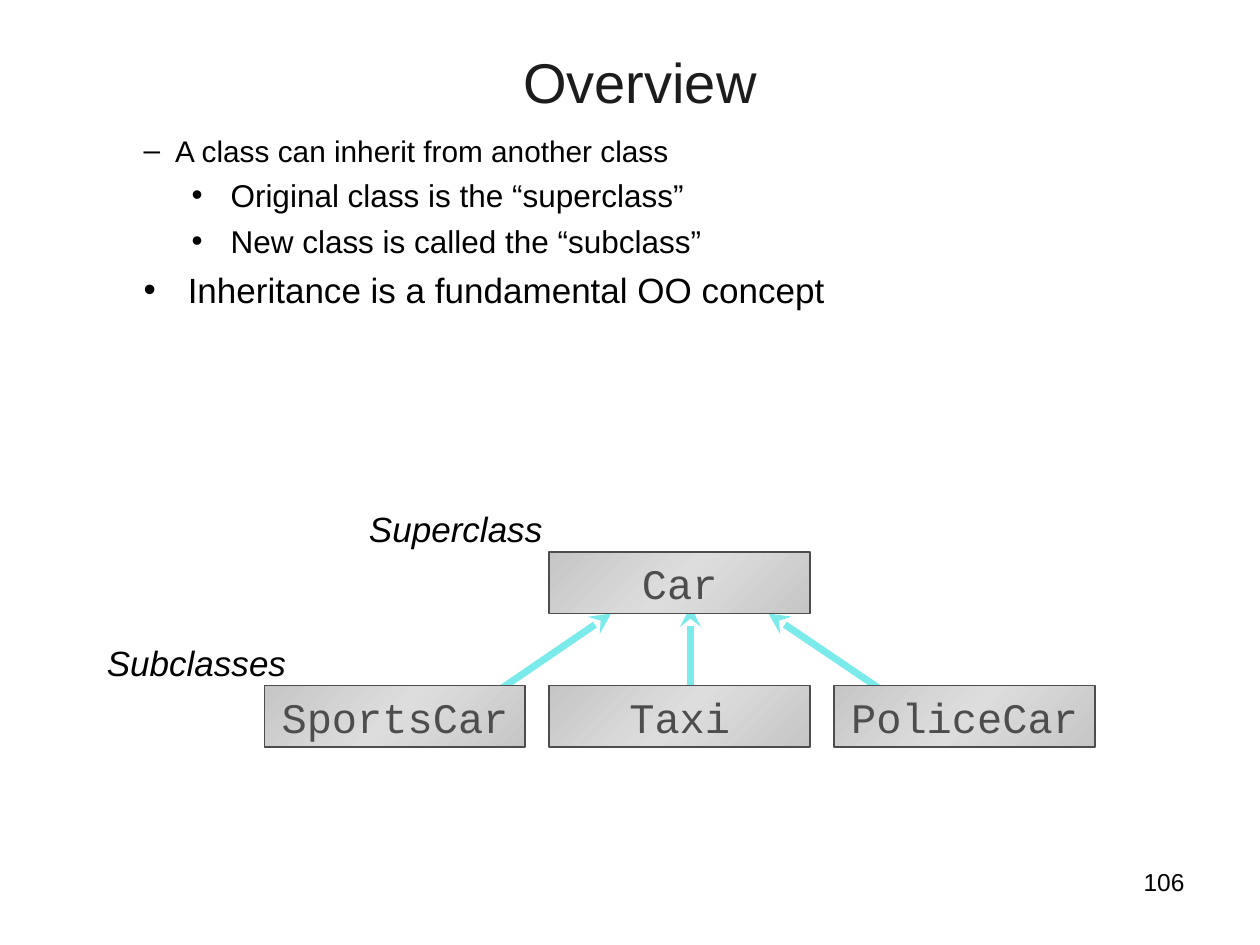
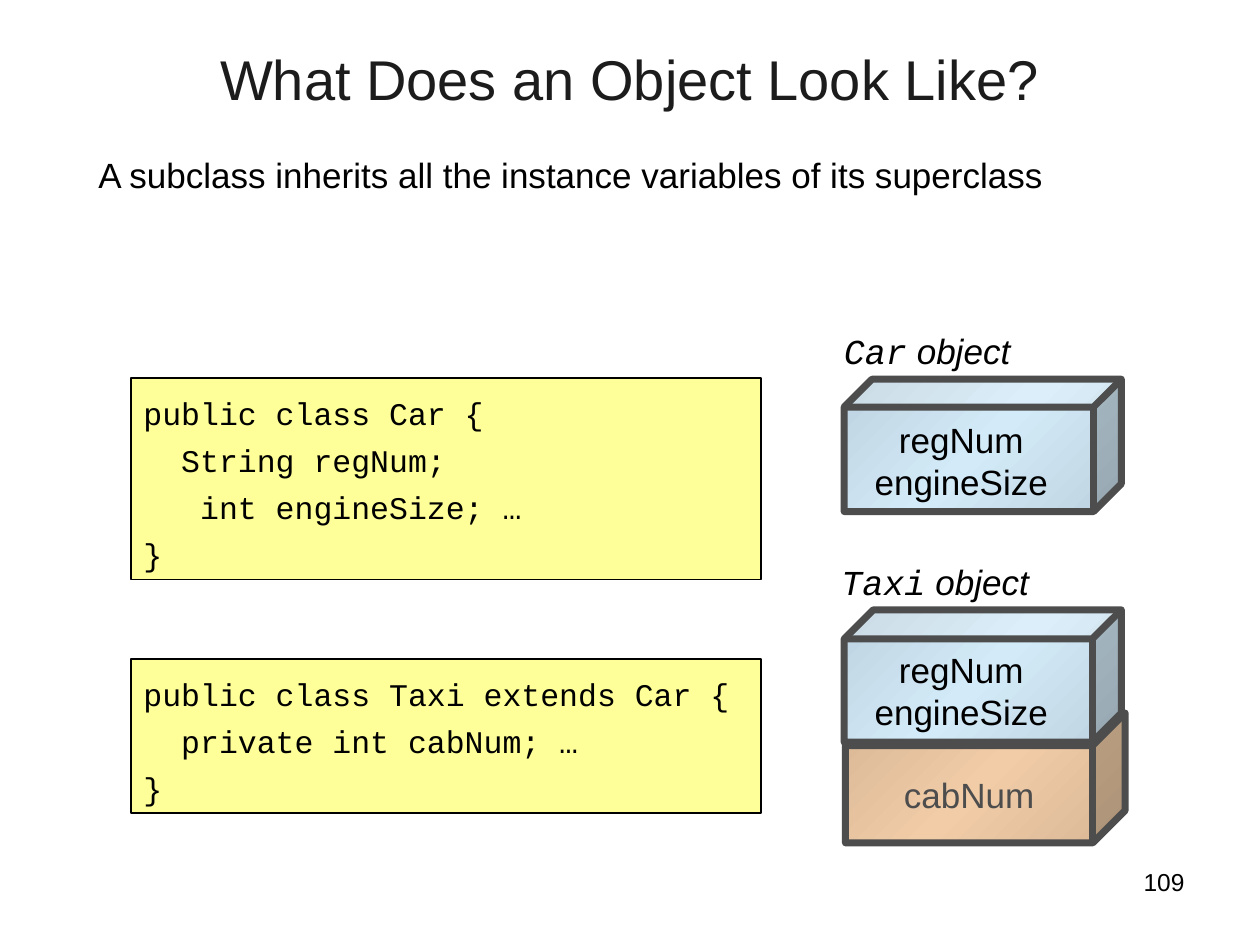
from dataclasses import dataclass

from lxml import etree
from pptx import Presentation
from pptx import util as u
from pptx.dml.color import RGBColor
from pptx.enum import shapes, text
from pptx.oxml import ns


@dataclass(frozen=True)
class Theme:
    sans: str = "Arial"
    mono: str = "Courier New"
    black: str = "000000"
    title: str = "1C1C1C"
    edge: str = "4D4D4D"
    arrow: str = "7BEAEA"
    code: str = "FFFF99"
    gray: tuple = ("C6C6C6", "DDDDDD", "C6C6C6")
    blue: tuple = ("BDD2DF", "D3EAF8", "BDD2DF")
    tan: tuple = ("D8B796", "F1CCA7", "D8B796")
    head: int = 32
    large: int = 24
    main: int = 20
    small: int = 18
    sub: int = 17
    foot: int = 14


T = Theme()
LEFT, MID, RIGHT = text.PP_ALIGN.LEFT, text.PP_ALIGN.CENTER, text.PP_ALIGN.RIGHT


def rgb(value):
    return RGBColor.from_string(value)


def place(shape, at):
    shape.left, shape.top, shape.width, shape.height = map(u.Inches, at)


def add_run(para, words, size, face=T.sans, color=T.black, slant=None):
    run = para.add_run()
    run.text = words
    font = run.font
    font.name, font.size, font.italic = face, u.Pt(size), slant
    font.color.rgb = rgb(color)


def set_frame(shape, anchor=text.MSO_ANCHOR.TOP, wrap=True):
    frame = shape.text_frame
    frame.auto_size = text.MSO_AUTO_SIZE.NONE
    frame.word_wrap = wrap
    frame.vertical_anchor = anchor
    return frame


def add_lines(frame, lines, size, face=T.sans, color=T.black, align=LEFT, space=None):
    for i, line in enumerate(lines):
        para = frame.add_paragraph() if i else frame.paragraphs[0]
        para.alignment, para.line_spacing = align, space
        add_run(para, line, size, face, color)


def add_text(slide, at, lines, size, align=LEFT):
    box = slide.shapes.add_textbox(*map(u.Inches, at))
    add_lines(set_frame(box), lines, size, align=align)


def add_label(slide, at, parts):
    box = slide.shapes.add_textbox(*map(u.Inches, at))
    para = set_frame(box).paragraphs[0]
    para.line_spacing = 0.95
    for words, face in parts:
        add_run(para, words, T.main, face, slant=True)


def set_blend(fill, colors):
    fill.gradient()
    fill.gradient_angle = 315
    stops = fill._fill._gradFill.find(ns.qn("a:gsLst"))
    for stop in list(stops):
        stops.remove(stop)
    for i, color in enumerate(colors):
        stop = etree.SubElement(stops, ns.qn("a:gs"), pos=str(i * 50000))
        etree.SubElement(stop, ns.qn("a:srgbClr"), val=color)


def add_block(slide, kind, at, fill, edge, width):
    block = slide.shapes.add_shape(kind, *map(u.Inches, at))
    block.shadow.inherit = False
    if isinstance(fill, tuple):
        set_blend(block.fill, fill)
    else:
        block.fill.solid()
        block.fill.fore_color.rgb = rgb(fill)
    block.line.color.rgb = rgb(edge)
    block.line.width = u.Pt(width)
    return block


def add_class(slide, left, top, name):
    box = add_block(slide, shapes.MSO_SHAPE.RECTANGLE, (left, top, 2.07, 0.49), T.gray, T.edge, 1)
    frame = set_frame(box, text.MSO_ANCHOR.MIDDLE, False)
    add_lines(frame, [name], T.large, T.mono, T.edge, MID)


def add_code(slide, top, height, lines):
    box = add_block(slide, shapes.MSO_SHAPE.RECTANGLE, (1.04, top, 5, height), T.code, T.black, 1)
    add_lines(set_frame(box), lines, T.small, T.mono, space=1.25)


def add_cube(slide, at, depth, fill):
    cube = add_block(slide, shapes.MSO_SHAPE.CUBE, at, fill, T.edge, 4)
    cube.adjustments[0] = depth
    return cube


def add_arrow(slide, start, end):
    line = slide.shapes.add_connector(shapes.MSO_CONNECTOR.STRAIGHT, *map(u.Inches, start + end))
    line.line.color.rgb = rgb(T.arrow)
    line.line.width = u.Pt(4)
    etree.SubElement(line.line._get_or_add_ln(), ns.qn("a:tailEnd"), type="stealth")
    etree.SubElement(line._element.spPr, ns.qn("a:effectLst"))


def add_item(frame, first, words, size, level=0, mark=None, margin=0, indent=0, gap=0):
    para = frame.paragraphs[0] if first else frame.add_paragraph()
    para.level = level
    props = para._p.get_or_add_pPr()
    props.set("marL", str(u.Inches(margin)))
    props.set("indent", str(u.Inches(indent)))
    if mark:
        etree.SubElement(props, ns.qn("a:buChar"), char=mark)
    else:
        etree.SubElement(props, ns.qn("a:buNone"))
    para.space_before = u.Pt(gap)
    add_run(para, words, size)


def add_page(deck, title, spot, body, number):
    slide = deck.slides.add_slide(deck.slide_layouts[1])
    head, main = slide.shapes.title, slide.placeholders[1]
    place(head, spot)
    place(main, body)
    add_lines(set_frame(head), [title], T.head, color=T.title, align=MID)
    add_text(slide, (7.17, 6.83, 2.33, 0.52), [number], T.foot, RIGHT)
    return slide, set_frame(main)


def add_tree(deck):
    slide, frame = add_page(deck, "Overview", (0.83, 0.33, 8.5, 1.25), (0.92, 1, 8.52, 1.64), "106")
    add_item(frame, True, "A class can inherit from another class", T.sub, 1, "–", 0.37, -0.25)
    for words in ("Original class is the “superclass”", "New class is called the “subclass”"):
        add_item(frame, False, words, T.small, 2, "•", 0.81, -0.31, 4.5)
    add_item(frame, False, "Inheritance is a fundamental OO concept", T.main, 0, "•", 0.47, -0.35, 5)

    add_arrow(slide, (5.48, 5.46), (5.48, 4.81))
    add_arrow(slide, (3.81, 5.58), (4.85, 4.87))
    add_arrow(slide, (7.15, 5.58), (6.1, 4.87))
    add_class(slide, 4.36, 4.38, "Car")
    for i, name in enumerate(("SportsCar", "Taxi", "PoliceCar")):
        add_class(slide, 2.1 + i * 2.26, 5.44, name)
    add_label(slide, (2.83, 4, 1.72, 0.42), [("Superclass", T.sans)])
    add_label(slide, (0.75, 5.07, 1.87, 0.42), [("Subclasses", T.sans)])


def add_object(deck):
    slide, frame = add_page(deck, "What Does an Object Look Like?", (0.5, 0.3, 9, 0.54),
                            (0.68, 1.17, 8.72, 0.9), "109")
    add_item(frame, True, "A subclass inherits all the instance variables of its superclass", T.main)
    add_code(slide, 3, 1.6, ["public class Car {", "  String regNum;", "   int engineSize; …", "}"])
    add_code(slide, 5.23, 1.22, ["public class Taxi extends Car {", "  private int cabNum; …", "}"])

    base = add_cube(slide, (6.71, 5.66, 2.22, 1.03), 0.25, T.tan)
    add_lines(set_frame(base, text.MSO_ANCHOR.MIDDLE, False), ["cabNum"], T.main,
              color=T.edge, align=MID)
    for name, left, top, depth in (("Car", 6.6, 3.01, 0.21), ("Taxi", 6.58, 4.84, 0.22)):
        add_cube(slide, (6.7, top, 2.2, 1.05), depth, T.blue)
        add_text(slide, (6.76, top + 0.26, 1.74, 0.76), ["regNum", "engineSize"], T.main, MID)
        add_label(slide, (left, top - 0.42, 2.04, 0.42), [(name, T.mono), (" object", T.sans)])


def main():
    deck = Presentation()
    deck.slide_width, deck.slide_height = u.Inches(10), u.Inches(7.5)
    add_tree(deck)
    add_object(deck)
    deck.save("out.pptx")


if __name__ == "__main__":
    main()
